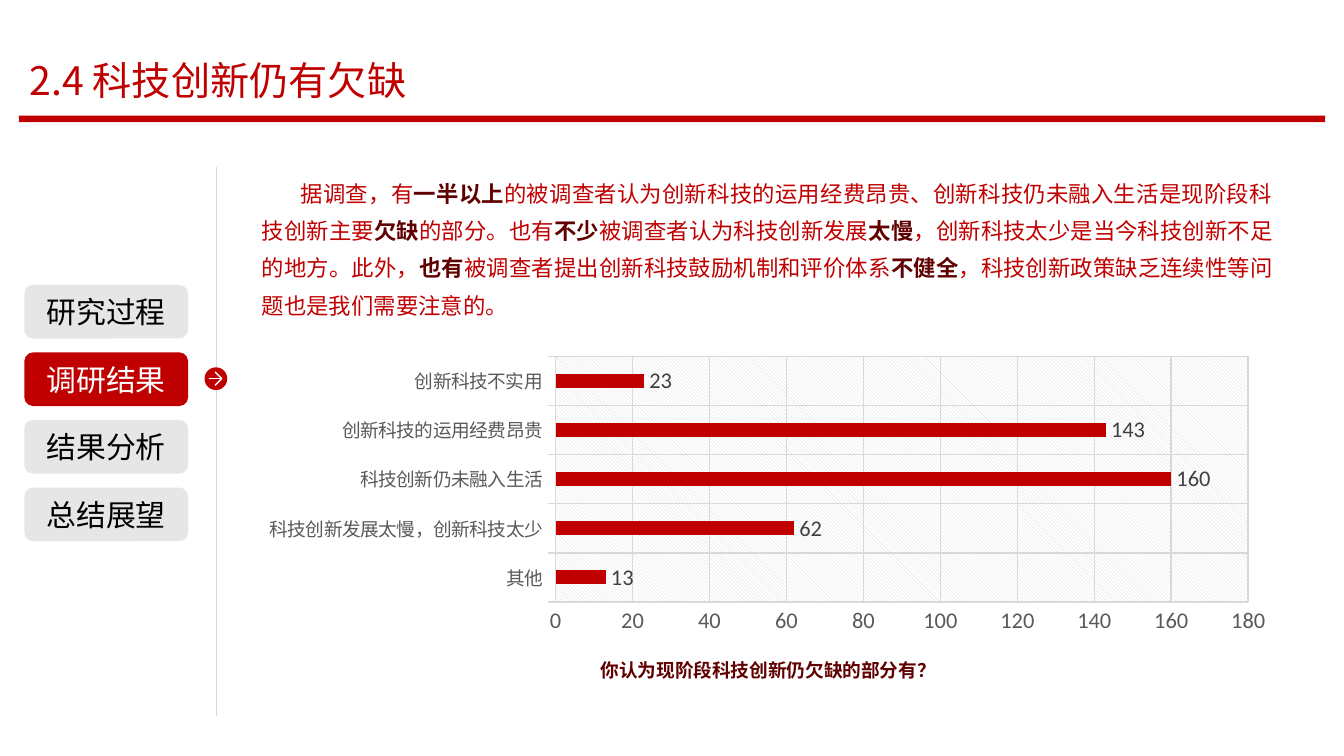
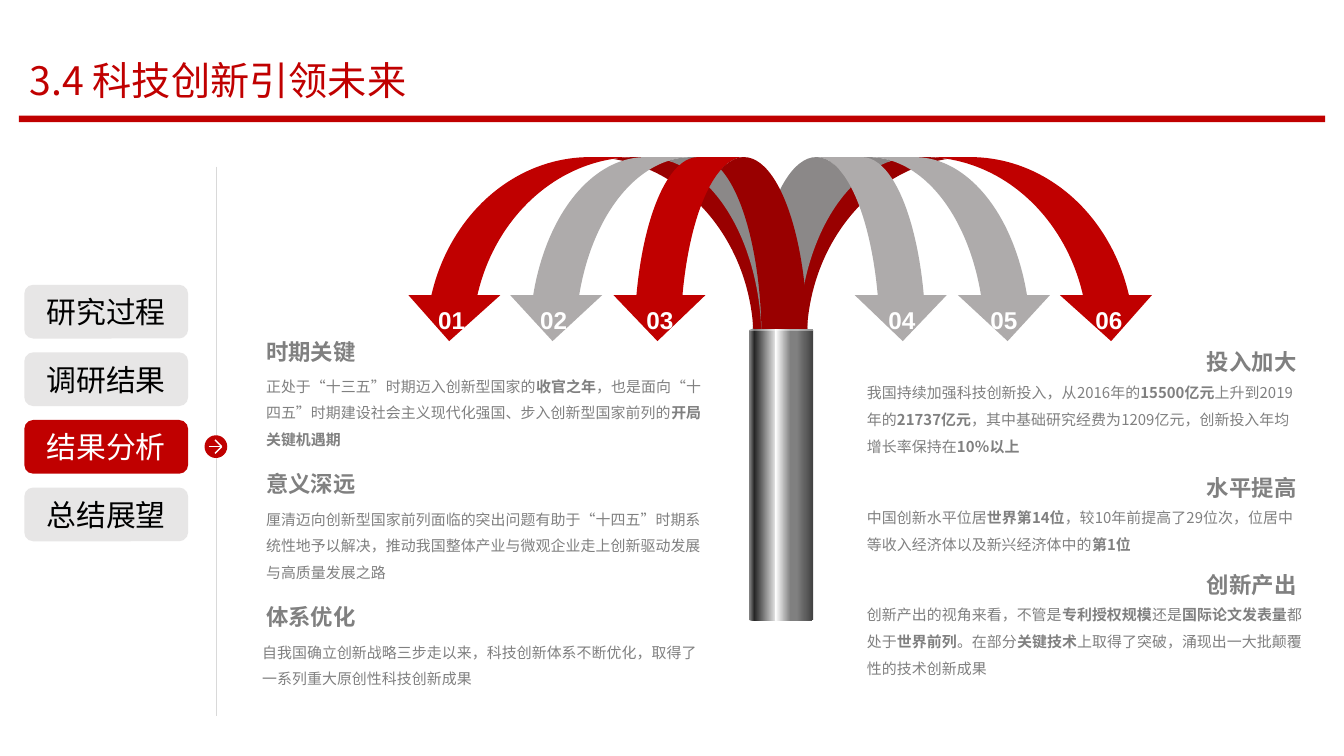
import pptx
import pptx.chart.data
import pptx.dml.color
import pptx.enum.chart
import pptx.enum.dml
import pptx.enum.shapes
import pptx.enum.text
import pptx.oxml.ns
import pptx.util
from lxml import etree

Pt = pptx.util.Pt
RGB = pptx.dml.color.RGBColor
qn = pptx.oxml.ns.qn
KIND = pptx.enum.shapes.MSO_SHAPE
ALIGN = pptx.enum.text.PP_ALIGN
ANCHOR = pptx.enum.text.MSO_ANCHOR
FIT = pptx.enum.text.MSO_AUTO_SIZE

# Shared style
RED = RGB(0xC0, 0x00, 0x00)
DARK = RGB(0x60, 0x00, 0x00)
SILVER = RGB(0xAE, 0xAB, 0xAB)
PALE = RGB(0xE7, 0xE6, 0xE6)
RULE = RGB(0xD9, 0xD9, 0xD9)
GREY = RGB(0x80, 0x80, 0x80)
AXIS = RGB(0x59, 0x59, 0x59)
LABEL = RGB(0x40, 0x40, 0x40)
WHITE = RGB(0xFF, 0xFF, 0xFF)
BLACK = RGB(0x00, 0x00, 0x00)
HAN = "Noto Sans CJK SC"
LATIN = "Calibri"
TIGHT = (5.04, 3.6)

# Content: text between asterisks is bold
TABS = ["研究过程", "调研结果", "结果分析", "总结展望"]
LACKS = {
    "title": "2.4 科技创新仍有欠缺", "width": 351.4, "tab": 1,
    "text": "据调查，有*一半以上*的被调查者认为创新科技的运用经费昂贵、创新科技仍未融入生活是现阶段科技创新主要"
            "*欠缺*的部分。也有*不少*被调查者认为科技创新发展*太慢*，创新科技太少是当今科技创新不足的地方。此外，"
            "*也有*被调查者提出创新科技鼓励机制和评价体系*不健全*，科技创新政策缺乏连续性等问题也是我们需要注意的。",
    "ask": "你认为现阶段科技创新仍欠缺的部分有？",
    "votes": [("其他", 13), ("科技创新发展太慢，创新科技太少", 62), ("科技创新仍未融入生活", 160),
              ("创新科技的运用经费昂贵", 143), ("创新科技不实用", 23)],
}
FUTURE = {"title": "3.4 科技创新引领未来", "width": 277.2, "tab": 2}
# Left, width, flipped, colour
ARROWS = [
    (407.5, 212.4, False, RED), (403.2, 161.3, False, SILVER), (403.2, 105.1, False, SILVER),
    (216, 212.4, True, RED), (271.4, 161.3, True, SILVER), (327.6, 105.1, True, RED),
]
MARKS = [226.8, 281.5, 338.4, 468, 522.7, 578.9]
METAL = [(2, "808080"), (9, "262626"), (40, "D9D9D9"), (42, "FFFFFF"),
         (65, "808080"), (75, "808080"), (100, "404040")]
# Head, its left and top, body, its left, top, width and height
POINTS = [
    ("时期关键", 137.5, 177.8,
     "正处于“十三五”时期迈入创新型国家的*收官之年*，也是面向“十四五”时期建设社会主义现代化强国、"
     "步入创新型国家前列的*开局关键机遇期*", 137.5, 193.7, 249.1, 46.8),
    ("意义深远", 137.5, 248.4,
     "厘清迈向创新型国家前列面临的突出问题有助于“十四五”时期系统性地予以解决，"
     "推动我国整体产业与微观企业走上创新驱动发展与高质量发展之路", 137.5, 265, 249.1, 46.8),
    ("体系优化", 137.5, 319.7,
     "自我国确立创新战略三步走以来，科技创新体系不断优化，取得了一系列重大原创性科技创新成果",
     135.4, 336.2, 249.1, 32.4),
    ("投入加大", 641.5, 182.9,
     "我国持续加强科技创新投入，从2016年的*15500亿元*上升到2019年的*21737亿元*，"
     "其中基础研究经费为1209亿元，创新投入年均增长率保持在*10％以上*", 459.4, 197.3, 240.5, 46.8),
    ("水平提高", 641.5, 250.6,
     "中国创新水平位居*世界第14位*，较10年前提高了29位次，位居中等收入经济体以及新兴经济体中的*第1位*",
     459.4, 264.2, 240.5, 32.4),
    ("创新产出", 641.5, 302.4,
     "创新产出的视角来看，不管是*专利授权规模*还是*国际论文发表量*都处于*世界前列*。"
     "在部分*关键技术*上取得了突破，涌现出一大批颠覆性的技术创新成果", 459.4, 316.1, 245.5, 46.8),
]


def style(font, size, color, name=HAN, bold=False):
    font.size, font.bold, font.name = Pt(size), bold, name
    font.color.rgb = color
    props = font._element
    etree.SubElement(props, qn("a:ea")).set("typeface", HAN)


def put(shape, text, size=12, color=GREY, strong=None, name=HAN, bold=False, align=ALIGN.LEFT,
        space=None, indent=0, inset=(7.2, 3.6), wrap=True, anchor=ANCHOR.TOP, fit=FIT.SHAPE_TO_FIT_TEXT):
    frame = shape.text_frame
    frame.word_wrap, frame.auto_size, frame.vertical_anchor = wrap, fit, anchor
    frame.margin_left = frame.margin_right = Pt(inset[0])
    frame.margin_top = frame.margin_bottom = Pt(inset[1])
    para = frame.paragraphs[0]
    para.alignment = align
    if space:
        para.line_spacing = space
    if indent:
        para._p.get_or_add_pPr().set("indent", str(Pt(indent)))
    for i, part in enumerate(text.split("*")):
        if part:
            run = para.add_run()
            run.text = part
            heavy = i % 2 == 1
            style(run.font, size, strong if heavy and strong else color, name, bold or heavy)


def box(slide, text, x, y, w, h, **form):
    put(slide.shapes.add_textbox(Pt(x), Pt(y), Pt(w), Pt(h)), text, **form)


def solid(slide, kind, x, y, w, h, color):
    shape = slide.shapes.add_shape(kind, Pt(x), Pt(y), Pt(w), Pt(h))
    shape.shadow.inherit = False
    shape.fill.solid()
    shape.fill.fore_color.rgb = color
    shape.line.fill.background()
    return shape


def line(slide, x1, y1, x2, y2, color):
    link = slide.shapes.add_connector(pptx.enum.shapes.MSO_CONNECTOR.STRAIGHT,
                                      Pt(x1), Pt(y1), Pt(x2), Pt(y2))
    link.line.color.rgb = color
    link.line.width = Pt(0.75)
    etree.SubElement(link._element.spPr, qn("a:effectLst"))


def start(deck, page):
    """Add a slide with its title, band and tab column."""
    slide = deck.slides.add_slide(deck.slide_layouts[5])
    title = slide.shapes.title
    title.left, title.top, title.width, title.height = Pt(8.6), Pt(26.6), Pt(page["width"]), Pt(32.4)
    put(title, page["title"], size=21, color=RED)
    solid(slide, KIND.RECTANGLE, 10.1, 61.9, 699.8, 3.6, RED)
    line(slide, 115.9, 89.3, 115.9, 383.8, RULE)
    for i, name in enumerate(TABS):
        live = i == page["tab"]
        tab = solid(slide, KIND.ROUNDED_RECTANGLE, 13, 152.6 + 36.2 * i, 87.8, 28.8, RED if live else PALE)
        put(tab, name, size=16, color=WHITE if live else BLACK, align=ALIGN.CENTER,
            anchor=ANCHOR.MIDDLE, fit=FIT.NONE)
    # Badge beside the live tab
    mid = 166.5 + 36.4 * page["tab"]
    solid(slide, KIND.OVAL, 109.6, mid - 6.1, 12.2, 12.2, RED)
    line(slide, 111.8, mid, 118.4, mid, WHITE)
    for rise in (-3.6, 3.6):
        line(slide, 115.2, mid + rise, 118.8, mid, WHITE)
    return slide


def bars(slide, votes):
    data = pptx.chart.data.CategoryChartData()
    data.categories = [name for name, _ in votes]
    data.add_series("Series 1", [count for _, count in votes])
    chart = slide.shapes.add_chart(pptx.enum.chart.XL_CHART_TYPE.BAR_CLUSTERED, Pt(133.2), Pt(187.9),
                                   Pt(555.8), Pt(154.8), data).chart
    chart.has_legend = chart.has_title = False
    style(chart.font, 10, BLACK, LATIN)
    plot = chart.plots[0]
    plot.gap_width = 247
    plot.vary_by_categories = False
    fill = plot.series[0].format.fill
    fill.solid()
    fill.fore_color.rgb = RED
    plot.has_data_labels = True
    tags = plot.data_labels
    tags.show_value = True
    tags.position = pptx.enum.chart.XL_LABEL_POSITION.OUTSIDE_END
    style(tags.font, 12, LABEL, LATIN)
    # Axes
    cats, vals = chart.category_axis, chart.value_axis
    ticks = pptx.enum.chart.XL_TICK_MARK
    for axis, size, name, tick in ((cats, 10, HAN, ticks.OUTSIDE), (vals, 12, LATIN, ticks.NONE)):
        style(axis.tick_labels.font, size, AXIS, name)
        axis.major_tick_mark, axis.minor_tick_mark = tick, ticks.NONE
        axis.has_major_gridlines = True
        for edge in (axis.major_gridlines.format.line, axis.format.line):
            edge.color.rgb = RULE
            edge.width = Pt(0.75)
    vals.format.line.fill.background()
    vals.minimum_scale, vals.maximum_scale, vals.major_unit = 0, 180, 20
    # Hatched plot area
    area = chart._chartSpace.find(".//" + qn("c:plotArea"))
    hatch = etree.SubElement(etree.SubElement(area, qn("c:spPr")), qn("a:pattFill"), prst="ltDnDiag")
    for tag, color in (("a:fgClr", RULE), ("a:bgClr", WHITE)):
        etree.SubElement(etree.SubElement(hatch, qn(tag)), qn("a:srgbClr"), val=str(color))


def lacks(deck):
    slide = start(deck, LACKS)
    box(slide, LACKS["text"], 133.2, 87.1, 555.8, 85.7, color=RED, strong=DARK,
        align=ALIGN.JUSTIFY, space=Pt(20), indent=20.9)
    box(slide, LACKS["ask"], 229.7, 343.4, 363.6, 23, size=10, color=DARK, bold=True,
        align=ALIGN.CENTER, space=1.5)
    bars(slide, LACKS["votes"])


def future(deck):
    slide = start(deck, FUTURE)
    # Fountain of arrows
    for x, w, flip, color in ARROWS:
        arrow = solid(slide, KIND.CURVED_DOWN_ARROW, x, 84.2, w, 98.6, color)
        if flip:
            arrow._element.spPr.find(qn("a:xfrm")).set("flipH", "1")
    # Metal pipe
    pipe = solid(slide, KIND.CAN, 401, 176.4, 34.6, 156.2, GREY)
    pipe.adjustments[0] = 0.027
    pipe.fill.gradient()
    pipe.fill.gradient_angle = 0
    stops = pipe._element.spPr.find(".//" + qn("a:gsLst"))
    for stop in list(stops):
        stops.remove(stop)
    for place, color in METAL:
        stop = etree.SubElement(stops, qn("a:gs"), pos=str(place * 1000))
        etree.SubElement(stop, qn("a:srgbClr"), val=color)
    for i, x in enumerate(MARKS, 1):
        box(slide, f"{i:02}", x, 155.5, 30.2, 25.9, size=13, color=WHITE, name="Arial", bold=True,
            align=ALIGN.CENTER, space=1.3)
    # Points on both sides
    for head, left, top, body, x, y, w, h in POINTS:
        box(slide, body, x, y, w, h, size=8, space=1.5, inset=TIGHT)
        box(slide, head, left, top, 59, 19.4, name=LATIN, bold=True, inset=TIGHT, wrap=False)


def main():
    deck = pptx.Presentation()
    deck.slide_width, deck.slide_height = Pt(720), Pt(405)
    lacks(deck)
    future(deck)
    deck.save("out.pptx")


if __name__ == "__main__":
    main()
